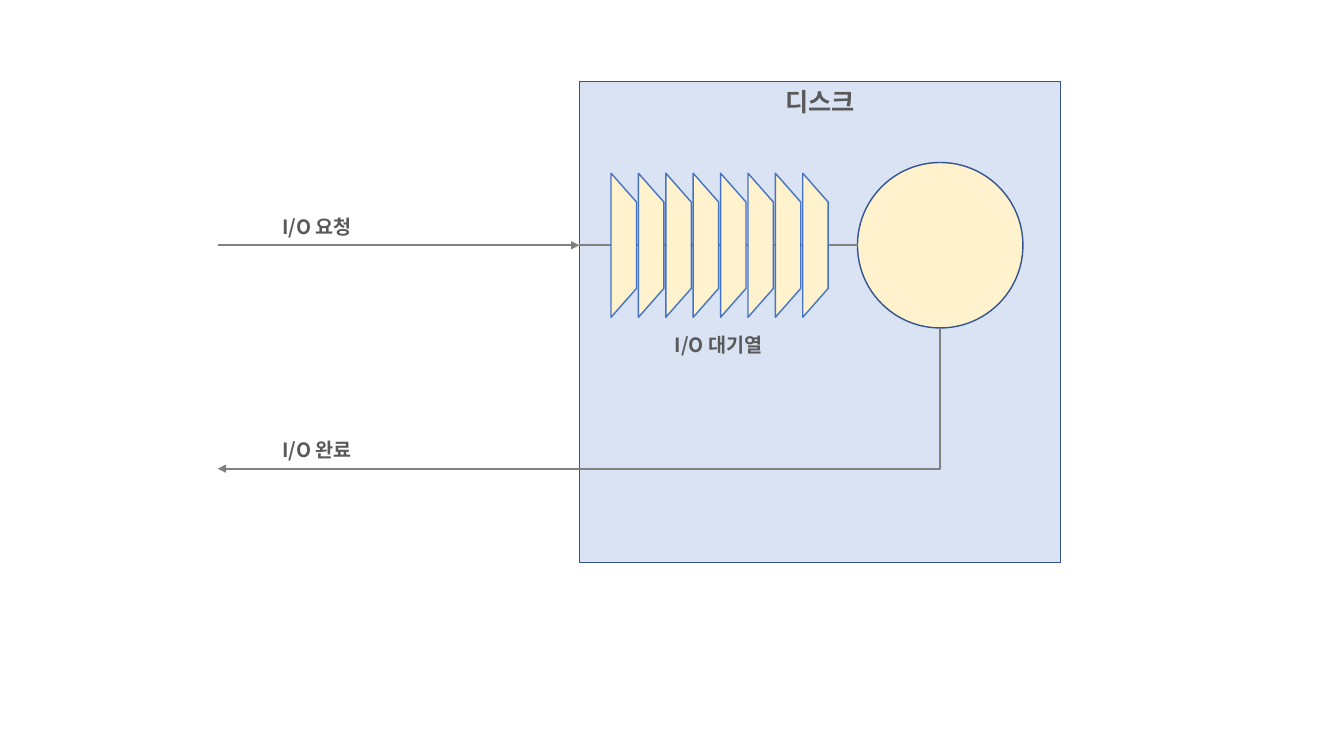
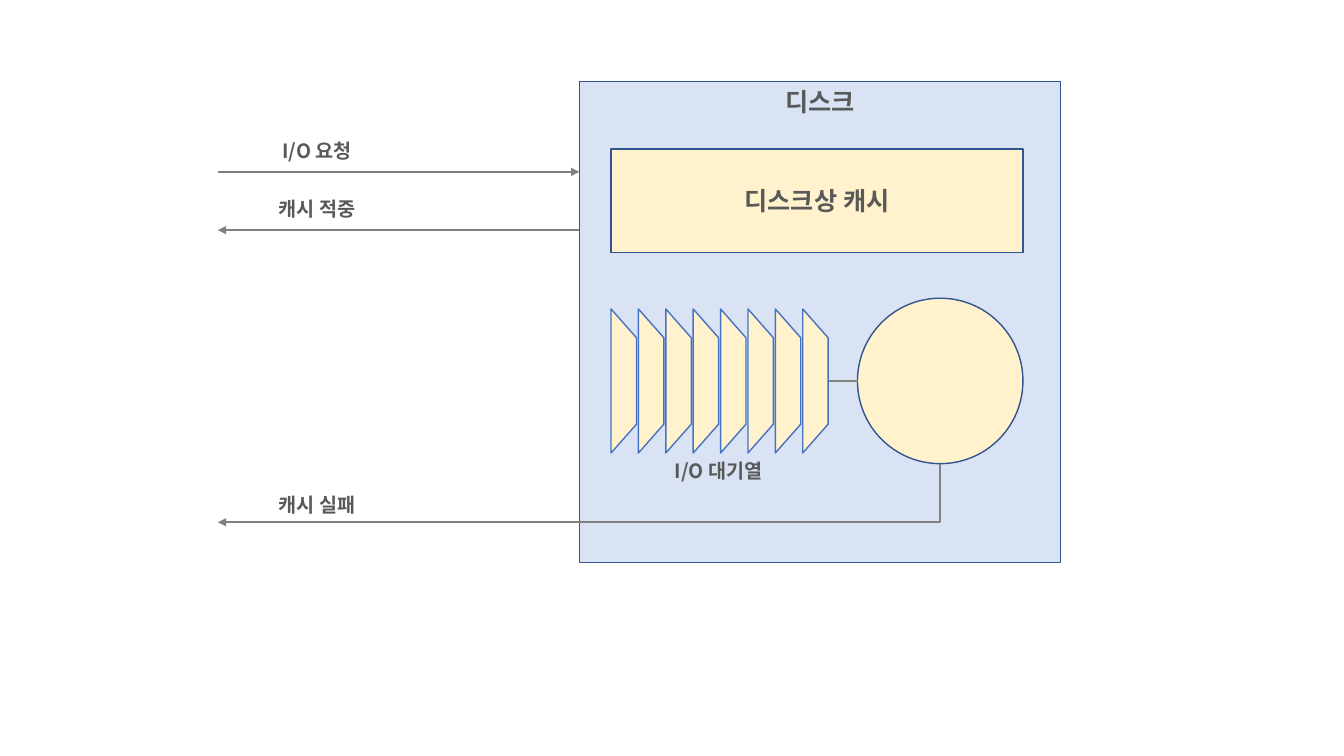
from lxml.etree import SubElement
from pptx import Presentation
from pptx.dml.color import RGBColor
from pptx.enum.shapes import MSO_CONNECTOR as Link, MSO_SHAPE as Shape
from pptx.enum.text import MSO_ANCHOR as Anchor, PP_ALIGN as Align
from pptx.oxml.ns import qn
from pptx.util import Cm, Pt

FONT = "Noto Sans CJK KR"
HEX = {"disk": "DAE3F3", "part": "FFF2CC", "edge": "325491",
       "slot": "4472C4", "wire": "808080", "text": "595959"}
RGB = {name: RGBColor.from_string(code) for name, code in HEX.items()}


def put(home, kind, x, y, w, h, text="", size=14, fill="part", edge="edge",
        anchor=Anchor.TOP):
    """Add a shape with optional text; a kind of None gives a text box."""
    spot = Cm(x), Cm(y), Cm(w), Cm(h)
    if kind is None:
        item = home.add_textbox(*spot)
    else:
        item = home.add_shape(kind, *spot)
        item.shadow.inherit = False
        item.fill.solid()
        item.fill.fore_color.rgb = RGB[fill]
        item.line.color.rgb = RGB[edge]
        item.line.width = Pt(1)
    if text:
        frame = item.text_frame
        frame.text = text
        frame.word_wrap = True
        frame.vertical_anchor = anchor
        para = frame.paragraphs[0]
        para.alignment = Align.CENTER
        font = para.runs[0].font
        font.size, font.bold, font.name = Pt(size), True, FONT
        font.color.rgb = RGB["text"]
        SubElement(para.runs[0]._r.rPr, qn("a:ea"), typeface=FONT)
    return item


def wire(home, kind, x1, y1, x2, y2, arrow=True):
    """Add a grey connector, with an arrowhead at its end if asked."""
    link = home.add_connector(kind, Cm(x1), Cm(y1), Cm(x2), Cm(y2))
    link.line.color.rgb = RGB["wire"]
    link.line.width = Pt(1.5)
    if arrow:
        SubElement(link.line._get_or_add_ln(), qn("a:tailEnd"), type="triangle")
    SubElement(link._element.spPr, qn("a:effectLst"))
    return link


# Shared layout, in centimetres
FAR = 5.49                        # outer end of the arrows
LEFT, TOP, SIDE = 14.6, 2.06, 12.12    # disk
DIAL_X, DIAL = 21.61, 4.17        # platter
MID_X = DIAL_X + DIAL / 2
SLOTS, SLOT_X, STEP = 8, 15.4, 0.69    # queue
LONG, THIN = 3.63, 0.64

# Arrow labels: text, top of text, height of arrow
SLIDES = [
    {"mid": 6.18, "feed": LEFT, "queue": 8.26, "cache": False,
     "in": [("I/O 요청", 5.28, 6.18)],
     "out": [],
     "done": ("I/O 완료", 10.9, 11.81)},
    {"mid": 9.6, "feed": 20.83, "queue": 11.43, "cache": True,
     "in": [("I/O 요청", 3.38, 4.33)],
     "out": [("캐시 적중", 4.85, 5.8)],
     "done": ("캐시 실패", 12.29, 13.16)},
]

deck = Presentation()
deck.slide_width, deck.slide_height = Cm(33.87), Cm(19.05)

for plan in SLIDES:
    home = deck.slides.add_slide(deck.slide_layouts[6]).shapes
    mid = plan["mid"]

    put(home, Shape.RECTANGLE, LEFT, TOP, SIDE, SIDE, "디스크", 18, "disk")
    put(home, Shape.OVAL, DIAL_X, mid - DIAL / 2, DIAL, DIAL)
    wire(home, Link.STRAIGHT, DIAL_X, mid, plan["feed"], mid, arrow=False)

    queue = home.add_group_shape().shapes
    for i in range(SLOTS):
        x = SLOT_X + i * STEP + (THIN - LONG) / 2
        slot = put(queue, Shape.FLOWCHART_MANUAL_OPERATION,
                   x, mid - THIN / 2, LONG, THIN, edge="slot")
        slot.rotation = 270
    put(home, None, 16.56, plan["queue"], 3.1, 0.86, "I/O 대기열")

    if plan["cache"]:
        put(home, Shape.RECTANGLE, SLOT_X, 3.76, 10.38, 2.6, "디스크상 캐시", 18,
            anchor=Anchor.MIDDLE)

    for text, top, y in plan["in"]:
        wire(home, Link.STRAIGHT, FAR, y, LEFT, y)
    for text, top, y in plan["out"]:
        wire(home, Link.STRAIGHT, LEFT, y, FAR, y)

    # One-bend connector from the platter, drawn upright and turned by 90°
    y = plan["done"][2]
    start = mid + DIAL / 2
    drop, run = y - start, MID_X - FAR
    cx, cy = (MID_X + FAR) / 2, (start + y) / 2
    bend = wire(home, Link.ELBOW, cx - drop / 2, cy - run / 2,
                cx + drop / 2, cy + run / 2)
    bend._element.spPr.prstGeom.set("prst", "bentConnector2")
    bend._element.spPr.xfrm.set("rot", str(90 * 60000))

    for text, top, y in plan["in"] + plan["out"] + [plan["done"]]:
        put(home, None, 6.58, top, 2.82, 0.86, text)

deck.save("out.pptx")
